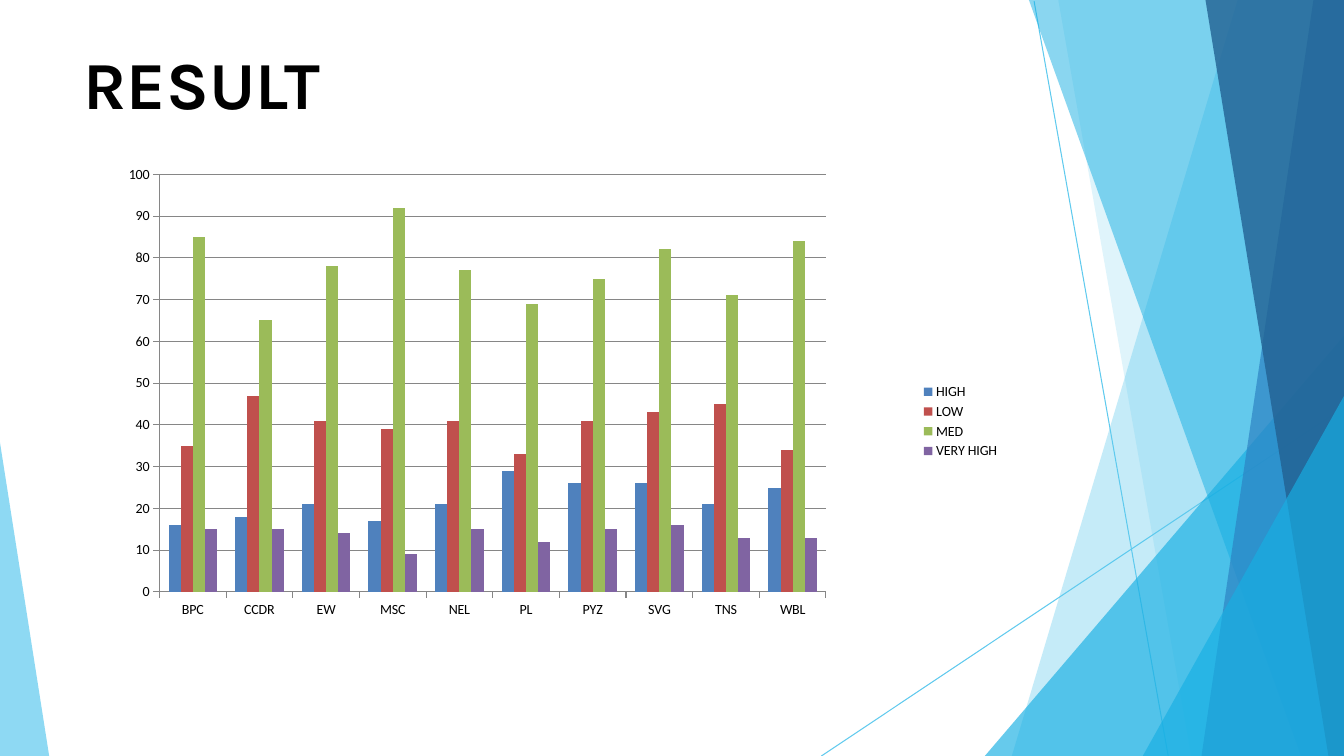
from lxml import etree
from pptx import Presentation
from pptx.chart.data import CategoryChartData
from pptx.dml.color import RGBColor
from pptx.enum.chart import XL_CHART_TYPE, XL_LEGEND_POSITION, XL_TICK_MARK
from pptx.enum.shapes import MSO_CONNECTOR
from pptx.enum.text import MSO_ANCHOR, PP_ALIGN
from pptx.oxml import parse_xml
from pptx.oxml.ns import nsdecls, qn
from pptx.util import Cm, Pt

COLUMNS = XL_CHART_TYPE.COLUMN_CLUSTERED
LEGEND_RIGHT = XL_LEGEND_POSITION.RIGHT
TICK_OUTSIDE = XL_TICK_MARK.OUTSIDE
STRAIGHT = MSO_CONNECTOR.STRAIGHT
TOP = MSO_ANCHOR.TOP
LEFT = PP_ALIGN.LEFT

WIDTH, HEIGHT = 33.87, 19.05  # slide size in cm

COLORS = {
    "black": "000000",
    "axis": "868686",
    "sky": "5FCAEE",
    "cyan": "17AFE3",
    "blue": "2D83C3",
    "navy": "226192",
}

# Bands on the right edge: top y, top x, bottom x (cm), colour, opacity in percent
RIGHT_BANDS = [
    (0, 31.19, 25.5, "sky", 36),
    (0, 26.67, 30.02, "sky", 20),
    (8.46, WIDTH, 24.82, "cyan", 66),
    (0, 25.93, 32.79, "cyan", 50),
    (0, 33.1, 30.28, "blue", 70),
    (0, 30.38, 33.48, "navy", 80),
    (9.98, WIDTH, 28.8, "cyan", 66),
]

CATEGORIES = ["BPC", "CCDR", "EW", "MSC", "NEL", "PL", "PYZ", "SVG", "TNS", "WBL"]
SERIES = [
    ("HIGH", "4F81BD", [16, 18, 21, 17, 21, 29, 26, 26, 21, 25]),
    ("LOW", "C0504D", [35, 47, 41, 39, 41, 33, 41, 43, 45, 34]),
    ("MED", "9BBB59", [85, 65, 78, 92, 77, 69, 75, 82, 71, 84]),
    ("VERY HIGH", "8064A2", [15, 15, 14, 9, 15, 12, 15, 16, 13, 13]),
]
PLOT_BOX = {"x": 0.107, "y": 0.07, "w": 0.7, "h": 0.727}  # shares of the chart


def color(name):
    return RGBColor.from_string(COLORS[name])


def add_line(slide, start, end):
    line = slide.shapes.add_connector(
        STRAIGHT, Cm(start[0]), Cm(start[1]), Cm(end[0]), Cm(end[1]))
    line.line.color.rgb = color("sky")
    line.line.width = Pt(0.75)
    etree.SubElement(line._element.spPr, qn("a:effectLst"))


def add_band(slide, points, color_name, opacity):
    corners = [(Cm(x), Cm(y)) for x, y in points]
    builder = slide.shapes.build_freeform(*corners[0])
    builder.add_line_segments(corners[1:], close=True)
    shape = builder.convert_to_shape()
    shape.shadow.inherit = False
    shape.line.fill.background()
    shape.fill.solid()
    shape.fill.fore_color.rgb = color(color_name)
    fill_color = shape._element.spPr.find(".//" + qn("a:srgbClr"))
    etree.SubElement(fill_color, qn("a:alpha"), val=str(opacity * 1000))


def add_background(slide):
    add_line(slide, (26.06, 0.03), (29.44, HEIGHT))
    add_line(slide, (WIDTH, 10.26), (20.7, HEIGHT))
    for top, top_x, bottom_x, color_name, opacity in RIGHT_BANDS:
        points = [(WIDTH, top), (top_x, top), (bottom_x, HEIGHT), (WIDTH, HEIGHT)]
        add_band(slide, points, color_name, opacity)
    add_band(slide, [(0, 11.15), (0, HEIGHT), (1.24, HEIGHT)], "sky", 70)


def set_title(slide, text):
    title = slide.shapes.title
    title.left, title.top = Cm(2.11), Cm(1.07)
    title.width, title.height = Cm(29.67), Cm(2.11)
    frame = title.text_frame
    frame.text = text
    frame.margin_left = frame.margin_right = frame.margin_top = frame.margin_bottom = 0
    frame.vertical_anchor = TOP
    paragraph = frame.paragraphs[0]
    paragraph.alignment = LEFT
    paragraph.font.name = "Karla"
    paragraph.font.size = Pt(48)
    paragraph.font.bold = True
    paragraph.font.color.rgb = color("black")


def place_plot(chart):
    plot_area = chart._chartSpace.chart.plotArea
    for layout in plot_area.findall(qn("c:layout")):
        plot_area.remove(layout)
    sizes = "".join(f'<c:{key} val="{share}"/>' for key, share in PLOT_BOX.items())
    plot_area.insert(0, parse_xml(
        f'<c:layout {nsdecls("c")}><c:manualLayout><c:layoutTarget val="inner"/>'
        f'<c:xMode val="edge"/><c:yMode val="edge"/>{sizes}'
        '</c:manualLayout></c:layout>'))


def add_result_chart(slide):
    data = CategoryChartData()
    data.categories = CATEGORIES
    for name, _, values in SERIES:
        data.add_series(name, values)
    chart = slide.shapes.add_chart(
        COLUMNS, Cm(1.45), Cm(3.38), Cm(24), Cm(14.48), data).chart
    chart.has_title = False
    chart.font.name = "Calibri"
    chart.font.size = Pt(10)
    chart.font.color.rgb = color("black")

    # Columns
    plot = chart.plots[0]
    plot.gap_width = 150
    plot.vary_by_categories = False
    for series, (_, hex_color, _) in zip(plot.series, SERIES):
        series.format.fill.solid()
        series.format.fill.fore_color.rgb = RGBColor.from_string(hex_color)

    # Axes and gridlines
    value_axis = chart.value_axis
    value_axis.minimum_scale, value_axis.maximum_scale = 0, 100
    value_axis.major_unit = 10
    value_axis.has_major_gridlines = True
    for axis in (chart.category_axis, value_axis):
        axis.major_tick_mark = TICK_OUTSIDE
    for part in (chart.category_axis, value_axis, value_axis.major_gridlines):
        part.format.line.color.rgb = color("axis")
        part.format.line.width = Pt(0.75)

    # Legend
    chart.has_legend = True
    chart.legend.position = LEGEND_RIGHT
    chart.legend.include_in_layout = False
    place_plot(chart)


def main():
    presentation = Presentation()
    presentation.slide_width, presentation.slide_height = Cm(WIDTH), Cm(HEIGHT)
    slide = presentation.slides.add_slide(presentation.slide_layouts[5])
    add_background(slide)
    set_title(slide, "RESULT")
    add_result_chart(slide)
    presentation.save("out.pptx")


if __name__ == "__main__":
    main()
